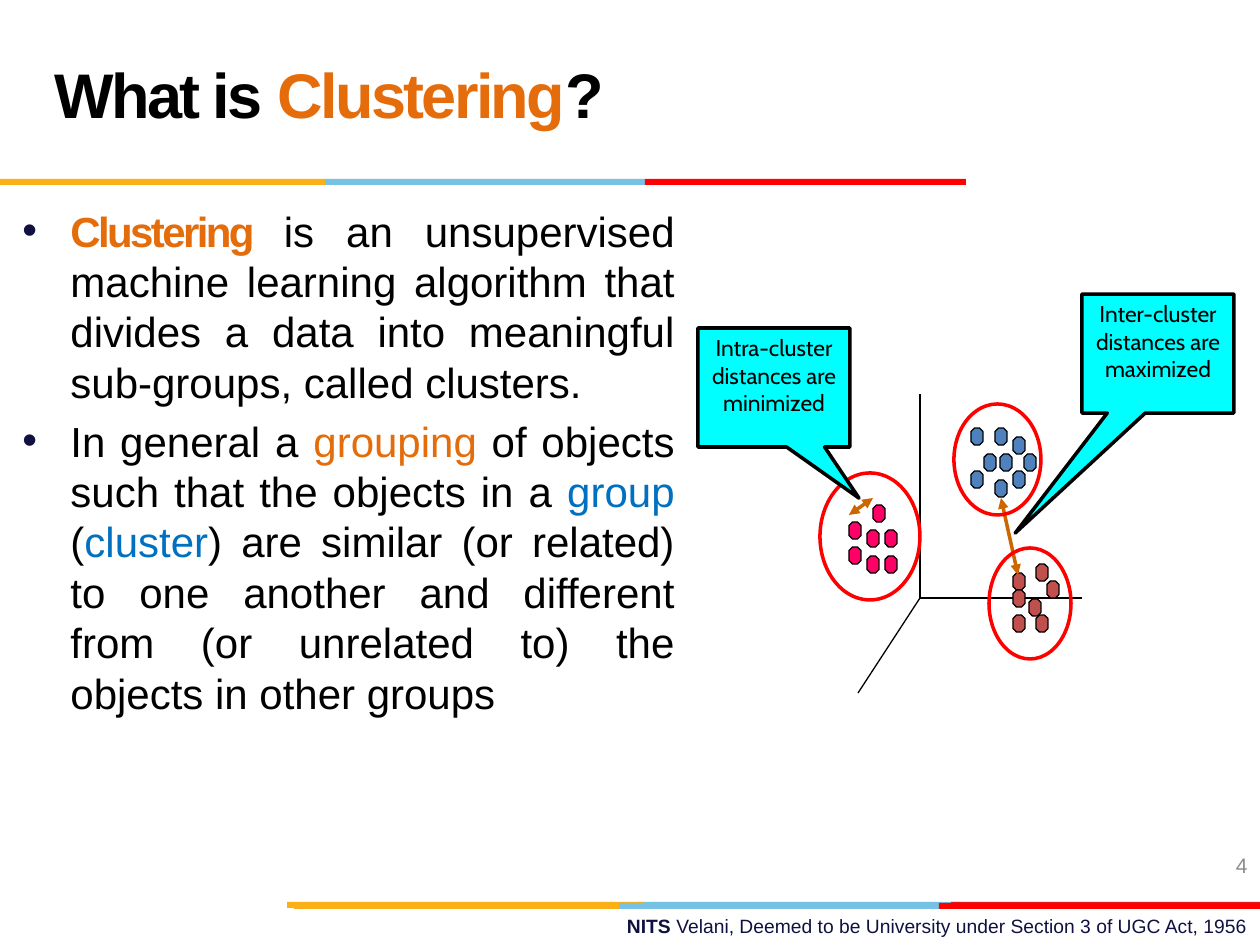
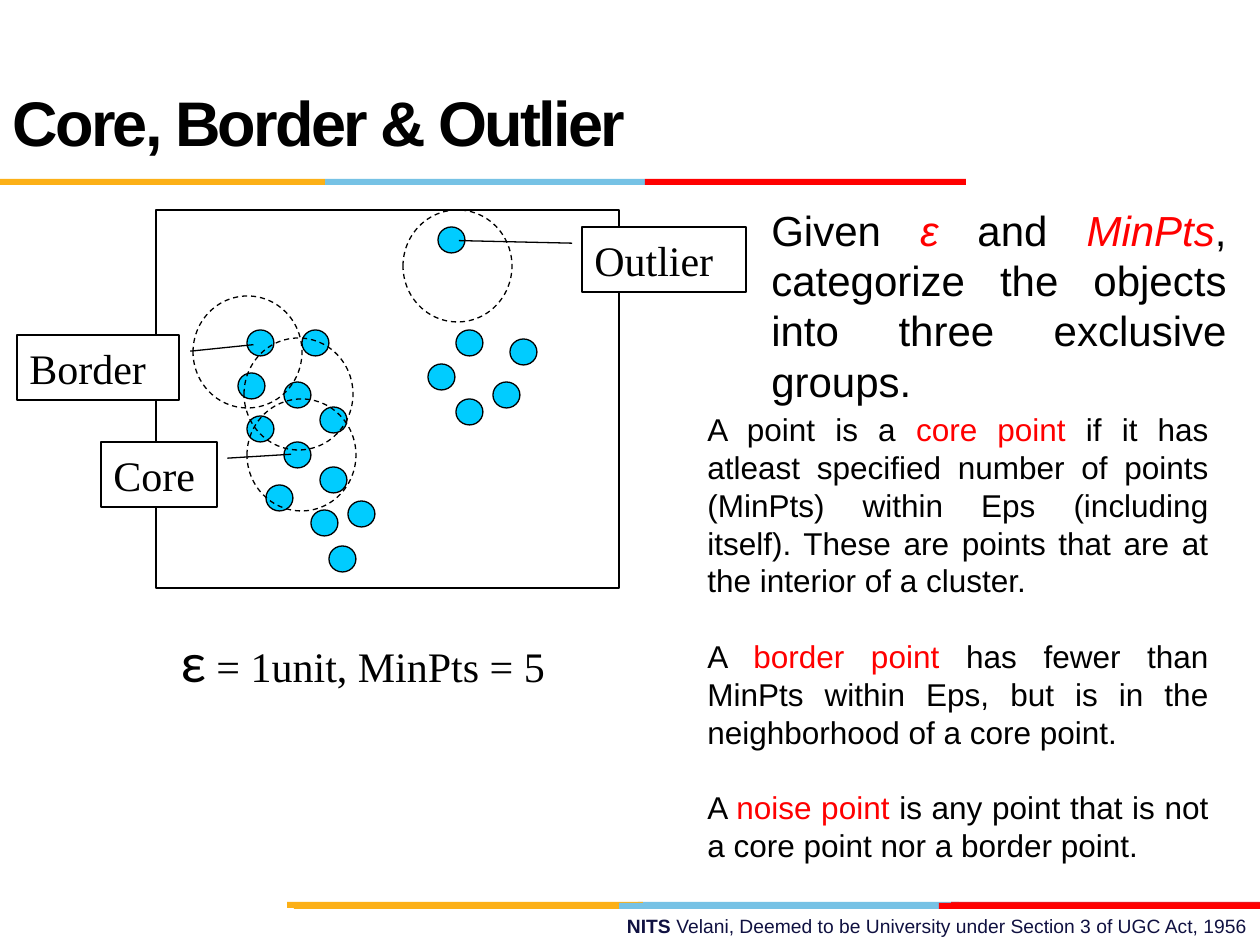
from lxml import etree
from pptx import Presentation
from pptx import util as u
from pptx.dml.color import RGBColor
from pptx.enum import dml, shapes, text
from pptx.oxml import ns

PX = 914400 / 126
BLACK, WHITE, NAVY, GRAY = "000000", "FFFFFF", "101141", "8C8C8C"
AMBER, SKY, RED, CRIMSON = "FCB017", "76C2E5", "FF0000", "E31C24"
ORANGE, BLUE, ARROW, CYAN = "E46C0A", "0070C0", "CC6600", "00FFFF"
POINT_FILL = "00CCFF"
TITLE = {"size": 36, "bold": True, "spacing": -1.5, "middle": True}

# Bands: left, top, width, colour
BANDS = [
    (638, 902, 321, SKY), (951, 902, 309, CRIMSON), (287, 902, 356, AMBER),
    (619, 903, 322, SKY), (294, 903, 325, AMBER), (939, 903, 321, RED),
    (325, 179, 320, SKY), (0, 179, 325, AMBER), (645, 179, 321, RED),
]

# Cluster members on slide 1: colour and top left corners
CLUSTERS = {
    "4F81BD": [(984, 454), (1000, 454), (995, 428), (995, 480), (1024, 454),
               (1013, 437), (971, 428), (1013, 471), (971, 471)],
    "FF0066": [(849, 522), (867, 530), (867, 556), (885, 530), (873, 505),
               (885, 556), (849, 547)],
    "C0504D": [(1013, 573), (1047, 581), (1029, 599), (1013, 615),
               (1036, 615), (1013, 590), (1036, 564)],
}
CLUSTER_OUTLINES = [(820, 473, 100, 127), (954, 404, 87, 111),
                    (989, 548, 82, 111)]

# Data points and neighbourhoods on slide 2: top left corners
POINTS = [
    (247, 330), (238, 373), (284, 382), (302, 330), (320, 407), (247, 416),
    (284, 442), (266, 485), (311, 510), (329, 546), (320, 467), (348, 501),
    (438, 227), (456, 330), (428, 364), (493, 382), (510, 339), (456, 399),
]
NEIGHBOURHOODS = [(193, 296), (247, 399), (403, 210), (244, 338)]


def px(value):
    return u.Emu(round(value * PX))


def color(value):
    return RGBColor.from_string(value)


def write_run(paragraph, content, size=24, font="Arial", fill=BLACK,
              bold=False, italic=False, spacing=0):
    run = paragraph.add_run()
    run.text = content
    run.font.size = u.Pt(size)
    run.font.name = font
    run.font.bold = bold
    run.font.italic = italic
    run.font.color.rgb = color(fill)
    if spacing:
        run.font._element.set("spc", str(round(spacing * 100)))


def add_bullet(paragraph, indent):
    properties = paragraph._p.get_or_add_pPr()
    properties.set("marL", str(px(indent)))
    properties.set("indent", str(-px(indent)))
    bullet_color = etree.SubElement(properties, ns.qn("a:buClr"))
    etree.SubElement(bullet_color, ns.qn("a:srgbClr"), val=NAVY)
    etree.SubElement(properties, ns.qn("a:buFont"), typeface="Arial")
    etree.SubElement(properties, ns.qn("a:buChar"), char="•")


def write_text(shape, paragraphs, align="LEFT", middle=False, before=0,
               line=None, bullet=0, **run_format):
    """Each paragraph is a list of runs: a string, or (string, overrides)."""
    frame = shape.text_frame
    frame.word_wrap = True
    anchors = text.MSO_ANCHOR
    frame.vertical_anchor = anchors.MIDDLE if middle else anchors.TOP
    for index, runs in enumerate(paragraphs):
        paragraph = frame.add_paragraph() if index else frame.paragraphs[0]
        paragraph.alignment = text.PP_ALIGN[align]
        if before:
            paragraph.space_before = u.Pt(before if index else 0)
        if line:
            paragraph.line_spacing = u.Pt(line)
        if bullet:
            add_bullet(paragraph, bullet)
        for run in runs:
            content, overrides = (run, {}) if isinstance(run, str) else run
            write_run(paragraph, content, **{**run_format, **overrides})


def add_text(slide, box, paragraphs, **text_format):
    shape = slide.shapes.add_textbox(*map(px, box))
    write_text(shape, paragraphs, **text_format)


def add_shape(slide, kind, box, fill=None, line=None, width=0.75,
              dashed=False, adjustments=()):
    shape = slide.shapes.add_shape(shapes.MSO_SHAPE[kind], *map(px, box))
    shape.shadow.inherit = False
    if fill:
        shape.fill.solid()
        shape.fill.fore_color.rgb = color(fill)
    else:
        shape.fill.background()
    if line:
        shape.line.color.rgb = color(line)
        shape.line.width = u.Pt(width)
        if dashed:
            shape.line.dash_style = dml.MSO_LINE.DASH
    else:
        shape.line.fill.background()
    for index, value in enumerate(adjustments):
        shape.adjustments[index] = value
    return shape


def add_line(slide, start, end, line=BLACK, width=0.75, arrows=False):
    connector = slide.shapes.add_connector(
        shapes.MSO_CONNECTOR.STRAIGHT, *map(px, (*start, *end)))
    connector.line.color.rgb = color(line)
    connector.line.width = u.Pt(width)
    if arrows:
        outline = connector.line._get_or_add_ln()
        for end_name in ("a:headEnd", "a:tailEnd"):
            etree.SubElement(outline, ns.qn(end_name), type="triangle")
    etree.SubElement(connector._element.spPr, ns.qn("a:effectLst"))


def add_distance_callout(slide, box, label, tip):
    callout = add_shape(slide, "RECTANGULAR_CALLOUT", box, CYAN, BLACK, 2,
                        adjustments=tip)
    write_text(callout, [[label]], align="CENTER", size=13, font="Cabin")


def add_point_label(slide, box, label, leader):
    callout = add_shape(slide, "LINE_CALLOUT_1", box, WHITE, BLACK,
                        adjustments=leader)
    write_text(callout, [[label]], middle=True, font="Times New Roman")


def add_base_slide(presentation):
    """Blank slide with the colour bands and the footer."""
    slide = presentation.slides.add_slide(presentation.slide_layouts[6])
    for left, top, width, fill in BANDS:
        add_shape(slide, "RECTANGLE", (left, top, width, 6), fill)
    footer = [("NITS ", {"bold": True}),
              "Velani, Deemed to be University under Section 3 of UGC Act, "
              "1956"]
    add_text(slide, (451, 908, 809, 37), [footer], align="RIGHT", size=11,
             fill=NAVY)
    return slide


def build_clustering(presentation):
    slide = add_base_slide(presentation)
    orange, blue = {"fill": ORANGE}, {"fill": BLUE}

    # Title, definition and page number
    add_text(slide, (42, 21, 872, 158),
             [["What is ", ("Clustering", orange), "?"]], line=36, **TITLE)
    definition = [
        [("Clustering ", {"fill": ORANGE, "bold": True, "spacing": -1.5}),
         "is an unsupervised machine learning algorithm that divides a data "
         "into meaningful sub-groups, called clusters. "],
        ["In general a ", ("grouping", orange),
         " of objects such that the objects in a ", ("group", blue), " (",
         ("cluster", blue),
         ") are similar (or related) to one another and different from "
         "(or unrelated to) the objects in other groups"],
    ]
    add_text(slide, (10, 199, 677, 683), definition, align="JUSTIFY",
             before=4.8, bullet=48)
    add_text(slide, (966, 840, 294, 50), [["4"]], align="RIGHT", middle=True,
             size=12, fill=GRAY)

    # Axes
    origin = (920, 598)
    for axis_end in [(920, 394), (1082, 598), (858, 693)]:
        add_line(slide, origin, axis_end)

    # Clusters, distances and callouts
    for fill, members in CLUSTERS.items():
        for left, top in members:
            add_shape(slide, "OCTAGON", (left, top, 12, 17), fill, BLACK,
                      adjustments=[0.29])
    add_line(slide, (1018, 575), (1001, 498), ARROW, 2, arrows=True)
    add_distance_callout(slide, (1082, 294, 152, 119),
                         "Inter-cluster distances are maximized",
                         (-0.94, 1.51))
    for box in CLUSTER_OUTLINES:
        add_shape(slide, "OVAL", box, line=RED, width=2)
    add_line(slide, (849, 515), (873, 498), ARROW, 2, arrows=True)
    add_distance_callout(slide, (698, 328, 152, 119),
                         "Intra-cluster distances are minimized",
                         (0.56, 0.93))


def build_point_types(presentation):
    slide = add_base_slide(presentation)
    red, red_italic = {"fill": RED}, {"fill": RED, "italic": True}
    add_text(slide, (0, 42, 1071, 158), [["Core, Border & Outlier"]], **TITLE)

    # Scatter of points with their neighbourhoods
    for left, top in POINTS:
        add_shape(slide, "OVAL", (left, top, 27, 26), POINT_FILL, BLACK)
    add_shape(slide, "RECTANGLE", (156, 210, 463, 378), line=BLACK)
    for left, top in NEIGHBOURHOODS:
        add_shape(slide, "OVAL", (left, top, 109, 112), line=BLACK,
                  dashed=True)

    # Labels with leader lines, and the parameters
    add_point_label(slide, (101, 442, 116, 65), "Core",
                    (0.25, 1.09, 0.19, 1.64))
    add_point_label(slide, (17, 335, 162, 65), "Border",
                    (0.25, 1.07, 0.15, 1.46))
    add_point_label(slide, (582, 227, 164, 65), "Outlier",
                    (0.25, -0.06, 0.21, -0.75))
    add_text(slide, (168, 620, 400, 79),
             [[("ε", {"font": "Calibri", "size": 32}),
               " = 1unit, MinPts = 5"]], font="Times New Roman")

    # Task and definitions
    add_text(slide, (759, 198, 480, 221),
             [["Given ", ("ε", red_italic), " and ", ("MinPts", red_italic),
               ", categorize the objects into three exclusive groups."]],
             align="JUSTIFY")
    definitions = [
        ["A point is a ", ("core point", red),
         " if it has atleast specified number of points (MinPts) within Eps "
         "(including itself). These are points that are at the interior of "
         "a cluster."],
        ["A ", ("border point", red),
         " has fewer than MinPts within Eps, but is in the neighborhood of "
         "a core point."],
        ["A ", ("noise point", red),
         " is any point that is not a core point nor a border point."],
    ]
    add_text(slide, (695, 404, 526, 471), definitions, align="JUSTIFY",
             size=18, before=21.6)


def main():
    presentation = Presentation()
    presentation.slide_width = px(1260)
    presentation.slide_height = px(945)
    build_clustering(presentation)
    build_point_types(presentation)
    presentation.save("out.pptx")


if __name__ == "__main__":
    main()
